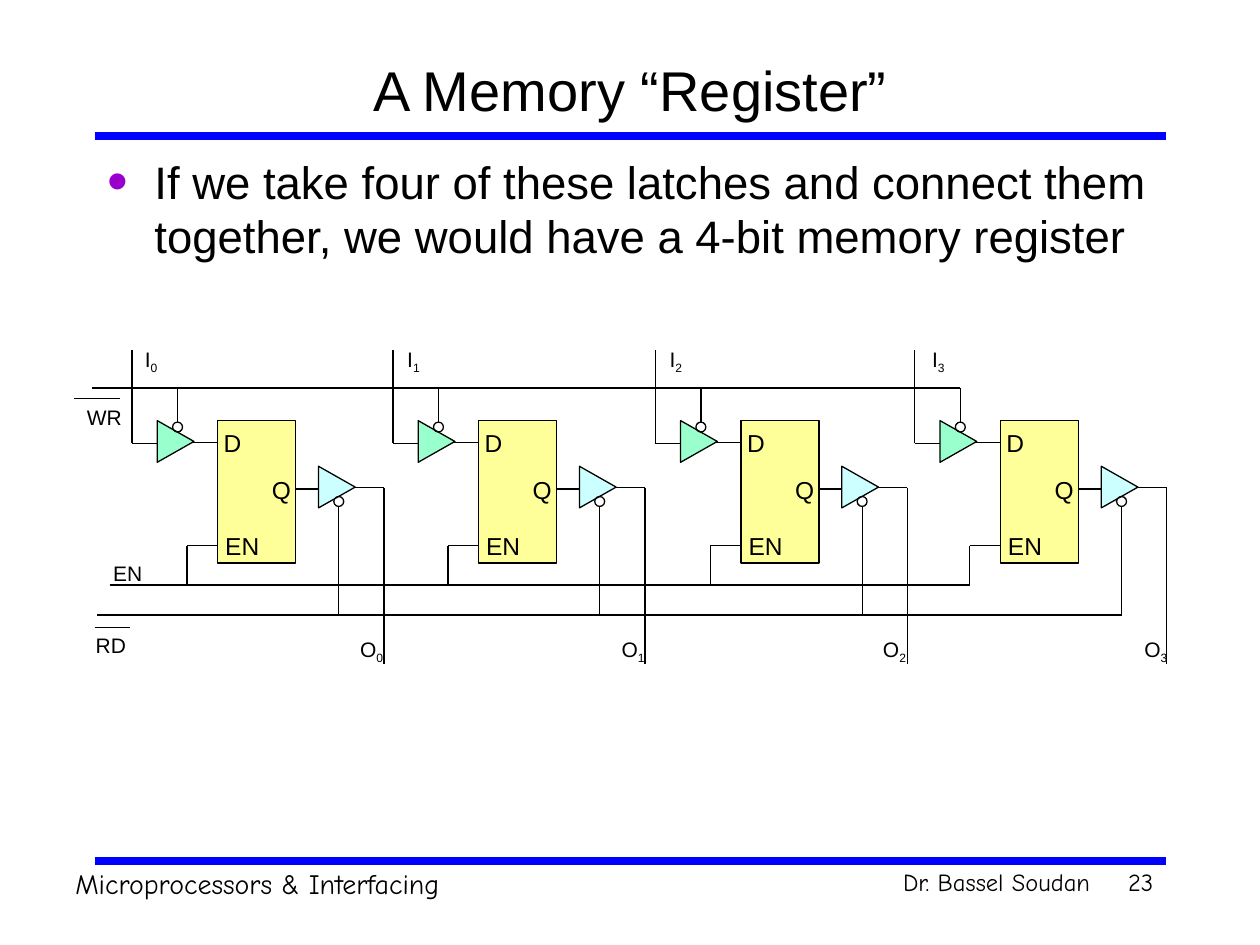
from lxml.etree import SubElement
from pptx import Presentation
from pptx.dml.color import RGBColor
from pptx.enum.shapes import MSO_CONNECTOR, MSO_SHAPE
from pptx.enum.text import MSO_ANCHOR, MSO_AUTO_SIZE, PP_ALIGN
from pptx.oxml.ns import qn
from pptx.util import Cm, Pt

HUES = {
    "ink": "000000", "rule": "0000FF", "dot": "9900CC",
    "latch": "FFFF99", "input": "99FFCC", "output": "CCFFFF",
}
SANS, HAND = "Arial", "Comic Neue"
TITLE = "A Memory “Register”"
BODY = ("If we take four of these latches and connect them together, "
        "we would have a 4-bit memory register")
FOOT = [
    ("Microprocessors & Interfacing", 1.27, 17.35, 14.4, 0.94, 16, 10, PP_ALIGN.LEFT),
    ("Dr. Bassel Soudan", 16.08, 17.35, 6.15, 0.86, 14, 8.8, PP_ALIGN.RIGHT),
    ("23", 22.43, 17.35, 1.07, 1.27, 14, 0, PP_ALIGN.RIGHT),
]
RULES = [2.74, 17.35]

LEFTS = [4.39, 9.65, 14.94, 20.17]
BUSES = [
    (1.85, 7.82, 19.36, 7.82),
    (2.21, 11.79, 19.55, 11.79),
    (1.96, 12.4, 22.61, 12.4),
]
BARS = [(1.5, 8.03, 2.41, 8.03), (1.91, 12.65, 2.62, 12.65)]
NAMES = [("WR", 1.5, 8.03), ("EN", 2.03, 11.18), ("RD", 1.68, 12.62)]
PORTS = [("I", 2.67, 5.29, 6.86), ("O", 7.01, 5.27, 12.7)]

PINS = [("Q", 0.84, 9.45), ("D", -0.13, 8.51), ("EN", -0.1, 10.59)]
PARTS = [
    (MSO_SHAPE.RECTANGLE, 0, 8.48, 1.57, 2.87, 0, "latch"),
    (MSO_SHAPE.ISOSCELES_TRIANGLE, -1.27, 8.53, 0.84, 0.74, 90, "input"),
    (MSO_SHAPE.OVAL, -0.91, 8.51, 0.2, 0.2, 0, None),
    (MSO_SHAPE.ISOSCELES_TRIANGLE, 1.98, 9.45, 0.84, 0.74, 90, "output"),
    (MSO_SHAPE.OVAL, 2.34, 10.01, 0.2, 0.2, 0, None),
]
WIRES = [
    (-1.73, 7.06, -1.73, 8.94),
    (-1.73, 8.94, -1.22, 8.94),
    (-0.81, 7.82, -0.81, 8.51),
    (-0.51, 8.92, 0, 8.92),
    (-0.62, 11, 0, 11),
    (-0.62, 11, -0.62, 11.79),
    (1.57, 9.86, 2.03, 9.86),
    (2.74, 9.83, 3.35, 9.83),
    (3.35, 9.83, 3.35, 13.39),
    (2.44, 10.21, 2.44, 12.4),
]


def tint(name):
    return RGBColor.from_string(HUES[name])


def style(para, size, face=SANS):
    para.font.size = Pt(size)
    para.font.name = face
    para.font.color.rgb = tint("ink")


def place(shape, x, y, w, h):
    shape.left, shape.top, shape.width, shape.height = Cm(x), Cm(y), Cm(w), Cm(h)


def wire(slide, x1, y1, x2, y2, hue="ink", width=0.75):
    line = slide.shapes.add_connector(
        MSO_CONNECTOR.STRAIGHT, Cm(x1), Cm(y1), Cm(x2), Cm(y2))
    line.line.color.rgb = tint(hue)
    line.line.width = Pt(width)
    SubElement(line._element.spPr, qn("a:effectLst"))


def label(slide, text, x, y, w, h, size, face=SANS, sub=""):
    frame = slide.shapes.add_textbox(Cm(x), Cm(y), Cm(w), Cm(h)).text_frame
    frame.word_wrap = True
    para = frame.paragraphs[0]
    para.add_run().text = text
    if sub:
        run = para.add_run()
        run.text = sub
        run.font._element.set("baseline", "-25000")
    style(para, size, face)
    return para


def part(slide, kind, x, y, w, h, turn, hue):
    shape = slide.shapes.add_shape(kind, Cm(x), Cm(y), Cm(w), Cm(h))
    shape.shadow.inherit = False
    shape.rotation = turn
    if hue:
        shape.fill.solid()
        shape.fill.fore_color.rgb = tint(hue)
    else:
        shape.fill.background()
    shape.line.color.rgb = tint("ink")
    shape.line.width = Pt(0.75)


def bullet(para):
    props = para._p.get_or_add_pPr()
    props.set("marL", str(Cm(0.95)))
    props.set("indent", str(-Cm(0.95)))
    hue = SubElement(props, qn("a:buClr"))
    SubElement(hue, qn("a:srgbClr"), val=HUES["dot"])
    SubElement(props, qn("a:buSzPct"), val="130000")
    SubElement(props, qn("a:buFont"), typeface=SANS)
    SubElement(props, qn("a:buChar"), char="•")


def heads(slide):
    title, body = slide.shapes.title, slide.placeholders[1]
    place(title, 1.91, 0.85, 21.59, 1.91)
    place(body, 1.91, 2.97, 21.59, 14.17)
    for shape, text, size in [(title, TITLE, 32), (body, BODY, 26)]:
        frame = shape.text_frame
        frame.text = text
        frame.auto_size = MSO_AUTO_SIZE.NONE
        if shape is body:
            bullet(frame.paragraphs[0])
            frame.paragraphs[0].space_before = Pt(6.5)
        else:
            frame.vertical_anchor = MSO_ANCHOR.MIDDLE
            frame.paragraphs[0].alignment = PP_ALIGN.CENTER
        style(frame.paragraphs[0], size)


def latch(slide, x):
    for kind, dx, y, w, h, turn, hue in PARTS:
        part(slide, kind, x + dx, y, w, h, turn, hue)
    for text, dx, y in PINS:
        label(slide, text, x + dx, y, 1.42, 0.86, 14)
    for x1, y1, x2, y2 in WIRES:
        wire(slide, x + x1, y1, x + x2, y2)


def main():
    deck = Presentation()
    deck.slide_width, deck.slide_height = Cm(25.4), Cm(19.05)
    slide = deck.slides.add_slide(deck.slide_layouts[1])
    heads(slide)
    for y in RULES:
        wire(slide, 1.91, y, 23.5, y, "rule", 4.5)
    for text, x, y, w, h, size, gap, side in FOOT:
        para = label(slide, text, x, y, w, h, size, HAND)
        para.alignment = side
        para.space_before = Pt(gap)
    for ends in BUSES + BARS:
        wire(slide, *ends)
    for text, x, y in NAMES:
        label(slide, text, x, y, 1.5, 0.76, 12)
    for bit, left in enumerate(LEFTS):
        latch(slide, left)
        for text, x, step, y in PORTS:
            label(slide, text, x + step * bit, y, 1.3, 0.84, 12, sub=str(bit))
    deck.save("out.pptx")


if __name__ == "__main__":
    main()
